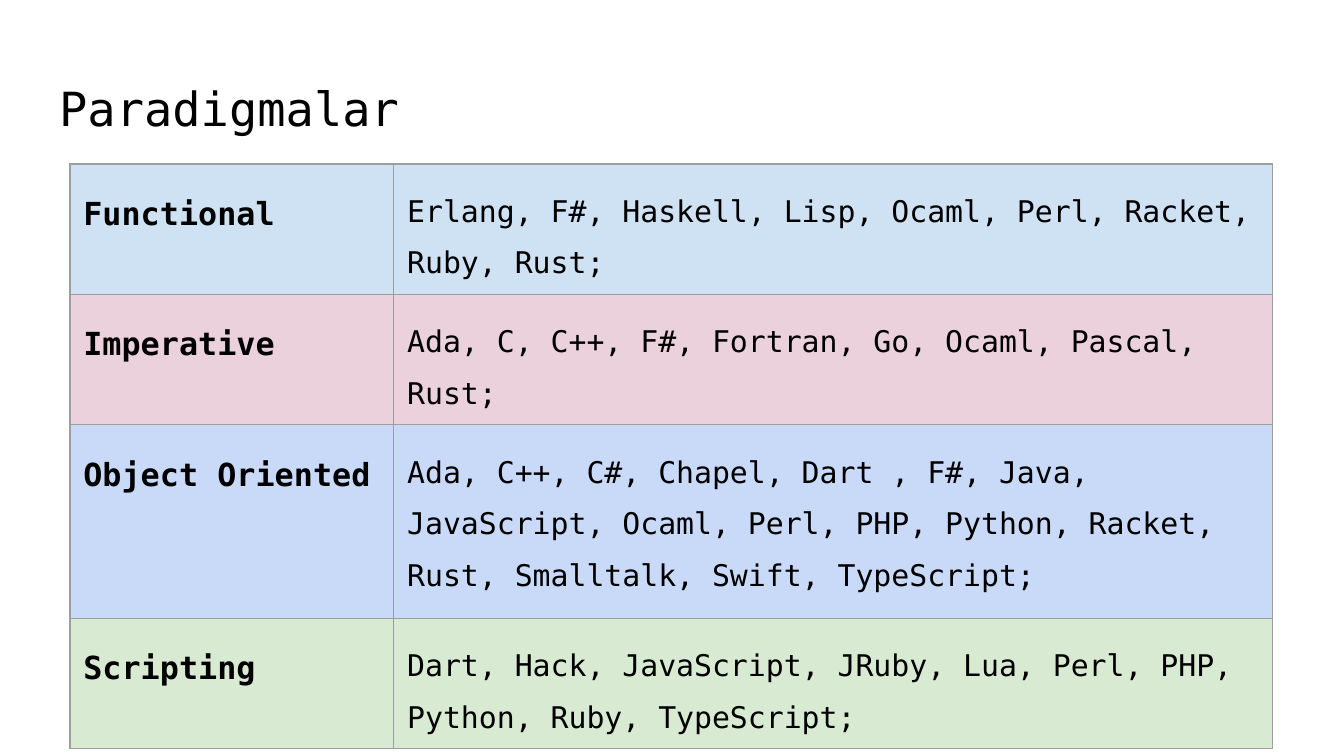
"""Build a slide with a table of programming paradigms and their languages."""
from lxml import etree
from pptx import Presentation
from pptx.dml.color import RGBColor
from pptx.enum.text import MSO_ANCHOR, PP_ALIGN
from pptx.oxml.ns import qn
from pptx.util import Inches, Pt

TOP, MIDDLE = MSO_ANCHOR.TOP, MSO_ANCHOR.MIDDLE
LEFT = PP_ALIGN.LEFT
TITLE_ONLY = 5
THEME = {
    "font": "DejaVu Sans Mono",
    "text": RGBColor.from_string("000000"),
    "border": "9E9E9E",
    "border_width": Pt(0.75),
    "title_size": Pt(25.2),
    "label_size": Pt(17),
    "list_size": Pt(16),
    "inset": Inches(0.1),
    "line_spacing": 1.5,
}
COLUMNS = [2.41, 6.54]
ROWS = [
    (0.8, "CFE2F3", "Functional",
     "Erlang, F#, Haskell, Lisp, Ocaml, Perl, Racket, Ruby, Rust;"),
    (0.8, "EAD1DC", "Imperative",
     "Ada, C, C++, F#, Fortran, Go, Ocaml, Pascal, Rust;"),
    (1.44, "C9DAF8", "Object Oriented",
     "Ada, C++, C#, Chapel, Dart , F#, Java, JavaScript, Ocaml, Perl, PHP, "
     "Python, Racket, Rust, Smalltalk, Swift, TypeScript;"),
    (0.86, "D9EAD3", "Scripting",
     "Dart, Hack, JavaScript, JRuby, Lua, Perl, PHP, Python, Ruby, TypeScript;"),
]


def write_text(holder, text, size, bold, anchor):
    """Fill a cell or text frame with one formatted paragraph."""
    holder.vertical_anchor = anchor
    for side in ("left", "top", "right", "bottom"):
        setattr(holder, f"margin_{side}", THEME["inset"])
    frame = getattr(holder, "text_frame", holder)
    frame.word_wrap = True
    frame.text = text
    paragraph = frame.paragraphs[0]
    paragraph.alignment = LEFT
    font = paragraph.runs[0].font
    for name, value in {"name": THEME["font"], "size": size, "bold": bold}.items():
        setattr(font, name, value)
    font.color.rgb = THEME["text"]
    return paragraph


def add_borders(cell):
    """Draw a thin line on all four sides of a cell."""
    properties = cell._tc.get_or_add_tcPr()
    for side in ("lnL", "lnR", "lnT", "lnB"):
        line = etree.SubElement(properties, qn(f"a:{side}"), w=str(THEME["border_width"]))
        fill = etree.SubElement(line, qn("a:solidFill"))
        etree.SubElement(fill, qn("a:srgbClr"), val=THEME["border"])


presentation = Presentation()
presentation.slide_width = Inches(10)
presentation.slide_height = presentation.slide_width * 9 // 16
slide = presentation.slides.add_slide(presentation.slide_layouts[TITLE_ONLY])

title = slide.shapes.title
title_place = {"left": 0.34, "top": 0.49, "width": 9.32, "height": 0.63}
for name, value in title_place.items():
    setattr(title, name, Inches(value))
write_text(title.text_frame, "Paradigmalar", THEME["title_size"], False, MIDDLE)

table = slide.shapes.add_table(
    len(ROWS), len(COLUMNS), Inches(0.52), Inches(1.22),
    Inches(sum(COLUMNS)), Inches(sum(row[0] for row in ROWS)),
).table
for column, width in zip(table.columns, COLUMNS):
    column.width = Inches(width)

for row, (height, color, paradigm, languages) in zip(table.rows, ROWS):
    row.height = Inches(height)
    contents = [(paradigm, THEME["label_size"], True),
                (languages, THEME["list_size"], False)]
    for cell, (text, size, bold) in zip(row.cells, contents):
        paragraph = write_text(cell, text, size, bold, TOP)
        paragraph.line_spacing = THEME["line_spacing"]
        add_borders(cell)
        cell.fill.solid()
        cell.fill.fore_color.rgb = RGBColor.from_string(color)

presentation.save("out.pptx")
